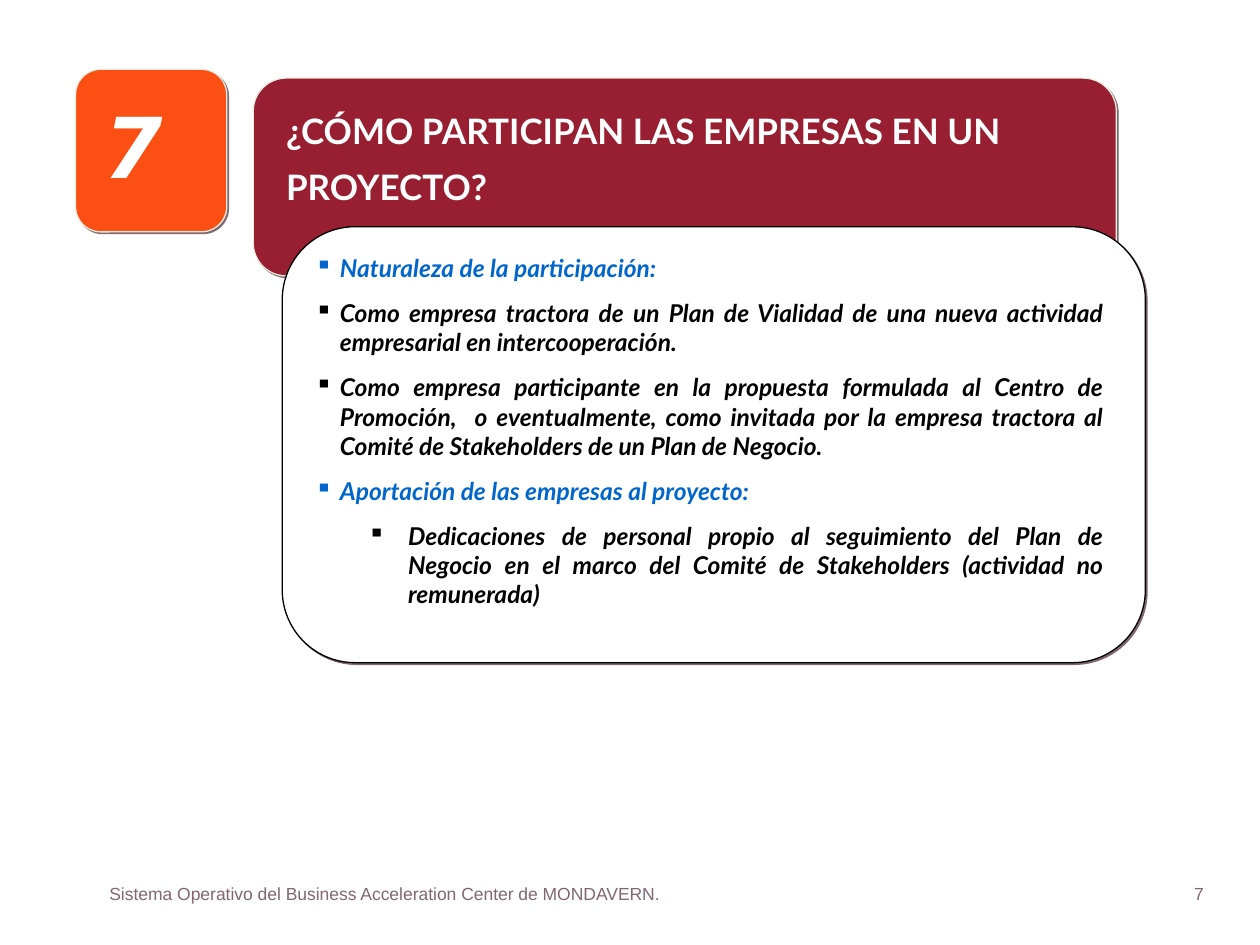
from lxml.etree import SubElement
from pptx import Presentation
from pptx.dml.color import RGBColor
from pptx.enum.shapes import MSO_SHAPE
from pptx.enum.text import MSO_ANCHOR, MSO_AUTO_SIZE, PP_ALIGN
from pptx.oxml.ns import qn
from pptx.util import Inches, Pt

WHITE = RGBColor(0xFF, 0xFF, 0xFF)
BLACK = RGBColor(0x00, 0x00, 0x00)
CREAM = RGBColor(0xEE, 0xEC, 0xE1)
MAROON = RGBColor(0x98, 0x1E, 0x32)
ORANGE = RGBColor(0xFB, 0x4F, 0x14)
BLUE = RGBColor(0x00, 0x66, 0xCC)
MAUVE = RGBColor(0x80, 0x68, 0x6F)

POINTS = [
    ("Naturaleza de la participación:", BLUE, 0),
    ("Como empresa tractora de un Plan de Vialidad de una nueva actividad "
     "empresarial en intercooperación.", BLACK, 0),
    ("Como empresa participante en la propuesta formulada al Centro de Promoción,  "
     "o eventualmente, como invitada por la empresa tractora al Comité de "
     "Stakeholders de un Plan de Negocio.", BLACK, 0),
    ("Aportación de las empresas al proyecto:", BLUE, 0),
    ("Dedicaciones de personal propio al seguimiento del Plan de Negocio en el marco "
     "del Comité de Stakeholders (actividad no remunerada)", BLACK, 1),
]
LEVEL_INDENTS = [(0.2, -0.2), (0.74, -0.32)]


def add_shadow(shape):
    shape.shadow.inherit = False
    effects = shape._element.spPr.find(qn("a:effectLst"))
    shadow = SubElement(effects, qn("a:outerShdw"), dist=str(Pt(1.4)),
                        dir="2700000", algn="ctr", rotWithShape="0")
    SubElement(shadow, qn("a:srgbClr"), val=str(MAUVE))


def add_panel(slide, left, top, width, height, fill, line):
    panel = slide.shapes.add_shape(MSO_SHAPE.ROUNDED_RECTANGLE, Inches(left),
                                   Inches(top), Inches(width), Inches(height))
    panel.adjustments[0] = 0.167
    panel.fill.solid()
    panel.fill.fore_color.rgb = fill
    panel.line.color.rgb = line
    panel.line.width = Pt(0.75)
    add_shadow(panel)


def set_frame(frame, side=0.1, end=0.05):
    frame.word_wrap = True
    frame.auto_size = MSO_AUTO_SIZE.NONE
    frame.vertical_anchor = MSO_ANCHOR.TOP
    frame.margin_left = frame.margin_right = Inches(side)
    frame.margin_top = frame.margin_bottom = Inches(end)


def add_frame(slide, left, top, width, height, **margins):
    box = slide.shapes.add_textbox(Inches(left), Inches(top),
                                   Inches(width), Inches(height))
    set_frame(box.text_frame, **margins)
    return box.text_frame


def add_run(paragraph, text, font, size, color, bold=False, italic=False):
    run = paragraph.add_run()
    run.text = text
    run.font.name = font
    run.font.size = Pt(size)
    run.font.color.rgb = color
    run.font.bold = bold
    run.font.italic = italic


def place_title(slide, text):
    title = slide.shapes.title
    title.left, title.top = Inches(2.15), Inches(0.7)
    title.width, title.height = Inches(6.61), Inches(1.62)
    set_frame(title.text_frame, side=0.12, end=0.06)
    paragraph = title.text_frame.paragraphs[0]
    paragraph.alignment = PP_ALIGN.LEFT
    paragraph.line_spacing = 1.33
    add_run(paragraph, text, "Lato", 20, WHITE, bold=True)
    slide.shapes._spTree.append(title._element)


def add_section_number(slide, number):
    add_panel(slide, 0.6, 0.55, 1.2, 1.29, ORANGE, CREAM)
    frame = add_frame(slide, 0.47, 0.61, 1.18, 1.2, side=0.12, end=0.06)
    paragraph = frame.paragraphs[0]
    paragraph.alignment = PP_ALIGN.CENTER
    paragraph.line_spacing = 1.1
    add_run(paragraph, number, "DejaVu Sans", 48, WHITE, bold=True, italic=True)


def add_points(slide):
    frame = add_frame(slide, 2.4, 1.96, 6.46, 2.92)
    for index, (text, color, level) in enumerate(POINTS):
        paragraph = frame.add_paragraph() if index else frame.paragraphs[0]
        paragraph.level = level
        paragraph.alignment = PP_ALIGN.JUSTIFY
        paragraph.space_before = Pt(8.8)
        margin, indent = LEVEL_INDENTS[level]
        properties = paragraph._p.get_or_add_pPr()
        properties.set("marL", str(Inches(margin)))
        properties.set("indent", str(Inches(indent)))
        SubElement(properties, qn("a:buChar"), char="▪")
        add_run(paragraph, text, "Lato", 14, color, bold=True, italic=True)


def add_footer(slide, left, width, text):
    frame = add_frame(slide, left, 6.96, width, 0.27)
    add_run(frame.paragraphs[0], text, "Arial", 10, MAUVE)


def main():
    presentation = Presentation()
    presentation.slide_width = Inches(10)
    presentation.slide_height = Inches(7.5)
    slide = presentation.slides.add_slide(presentation.slide_layouts[5])

    add_footer(slide, 9.38, 0.53, "7")
    add_footer(slide, 0.77, 5.3,
               "Sistema Operativo del Business Acceleration Center de MONDAVERN.")
    add_panel(slide, 2.01, 0.62, 6.85, 1.57, MAROON, CREAM)
    place_title(slide, "¿CÓMO PARTICIPAN LAS EMPRESAS EN UN PROYECTO?")
    add_panel(slide, 2.24, 1.8, 6.85, 3.46, WHITE, BLACK)
    add_points(slide)
    add_section_number(slide, "7")
    presentation.save("out.pptx")


if __name__ == "__main__":
    main()
